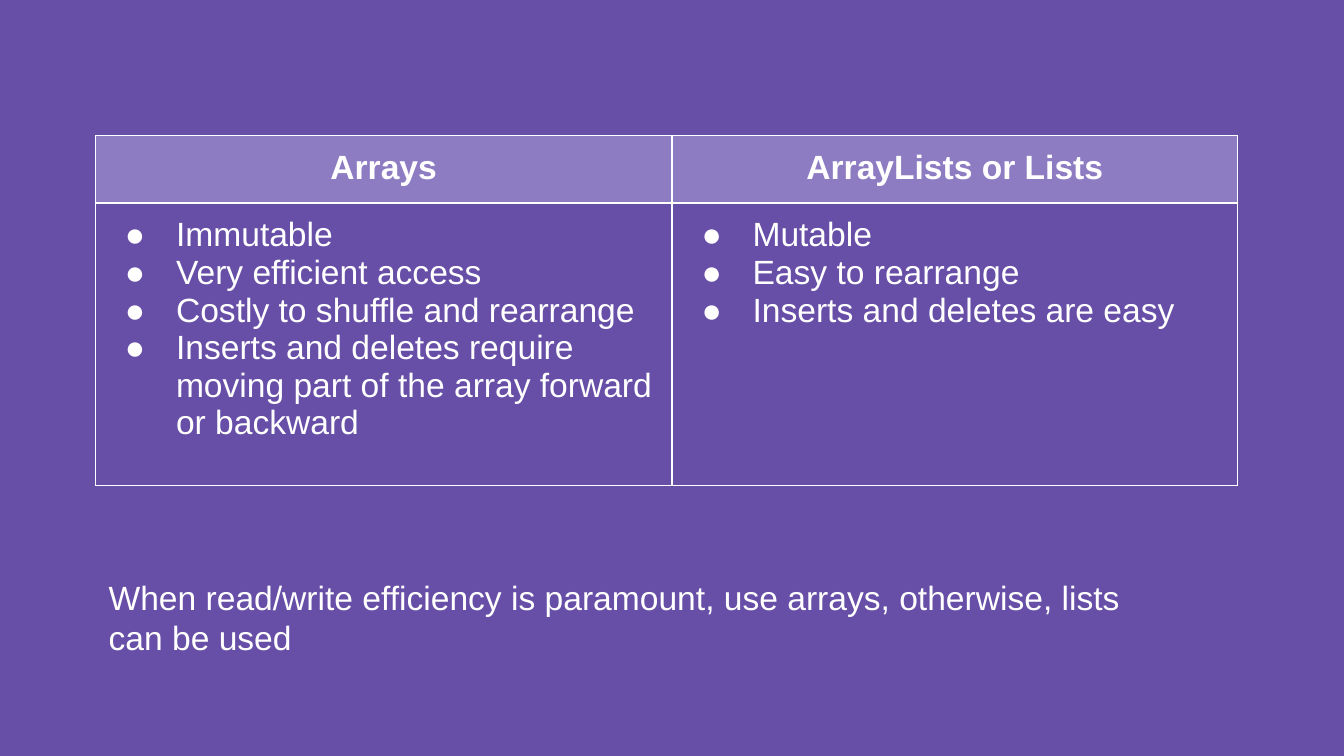
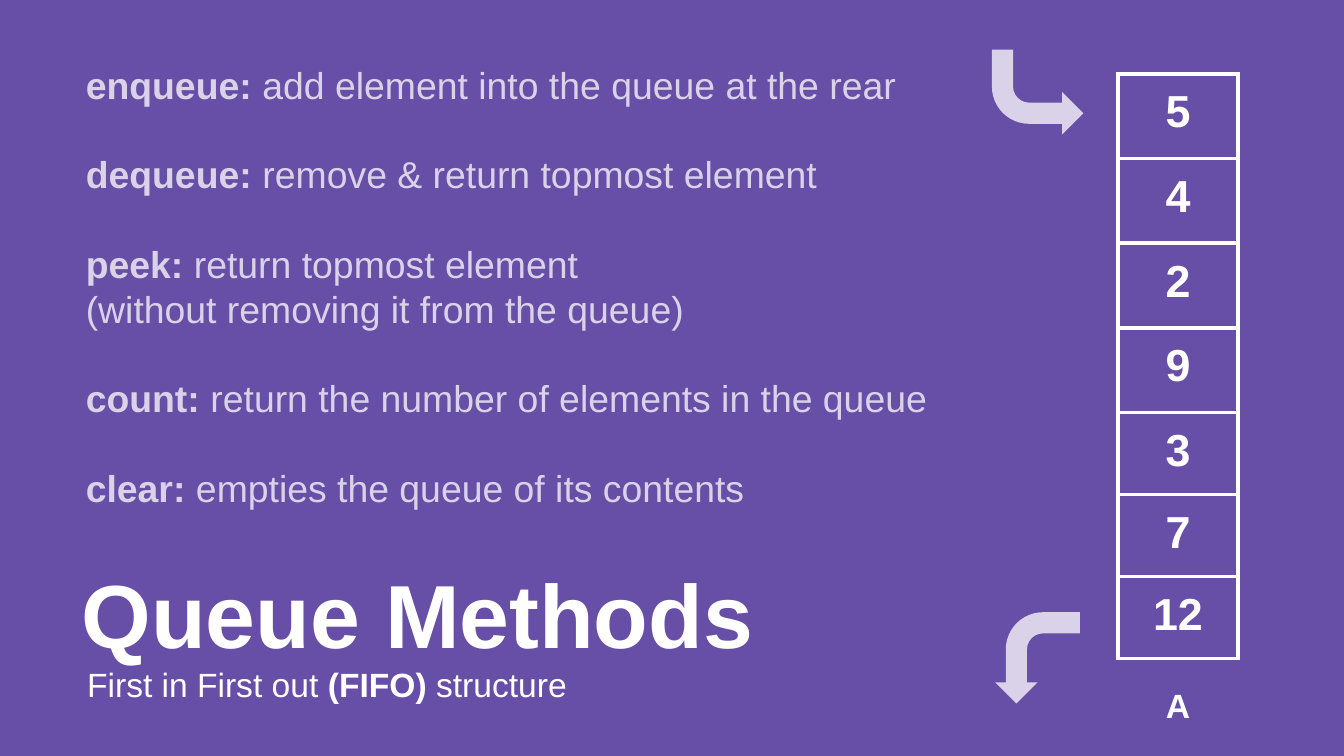
from dataclasses import dataclass

from lxml import etree
from pptx import Presentation
from pptx import util as u
from pptx.dml.color import RGBColor
from pptx.enum import shapes, text
from pptx.oxml import ns


@dataclass(frozen=True)
class Theme:
    font: str = "Arial"
    back: str = "674EA7"
    head: str = "8E7CC3"
    pale: str = "D9D2E9"
    white: str = "FFFFFF"
    small: int = 18
    body: int = 20
    cell: int = 24
    title: int = 48
    pad: float = 0.1


THEME = Theme()


@dataclass(frozen=True)
class Run:
    words: str
    bold: bool = False


Para = list[Run]


@dataclass(frozen=True)
class Style:
    size: int
    color: str = THEME.white
    center: bool = False
    bullet: str = ""
    gap: int = 0


@dataclass(frozen=True)
class Box:
    at: tuple[float, float, float, float]
    paras: list[Para]
    style: Style


@dataclass(frozen=True)
class Cell:
    paras: list[Para]
    style: Style
    fill: str = ""


@dataclass(frozen=True)
class Grid:
    left: float
    top: float
    cols: list[float]
    rows: list[float]
    line: float
    cells: list[list[Cell]]


@dataclass(frozen=True)
class Arrow:
    top: float
    turn: int


NOTE = Style(THEME.small)
LABEL = Style(THEME.small, center=True)
LIST = Style(THEME.small, bullet="●")
ITEM = Style(THEME.cell, center=True)
TITLE = Style(THEME.title)
TERMS = Style(THEME.body, THEME.pale, gap=24)

TRAITS = {
    "Arrays": [
        "Immutable",
        "Very efficient access",
        "Costly to shuffle and rearrange",
        "Inserts and deletes require moving part of the array forward or backward",
    ],
    "ArrayLists or Lists": [
        "Mutable",
        "Easy to rearrange",
        "Inserts and deletes are easy",
    ],
}
ADVICE = ("When read/write efficiency is paramount, use arrays, "
          "otherwise, lists can be used")
METHODS = {
    "enqueue: ": "add element into the queue at the rear",
    "dequeue: ": "remove & return topmost element",
    "peek: ": "return topmost element\n(without removing it from the queue)",
    "count: ": "return the number of elements in the queue",
    "clear: ": "empties the queue of its contents",
}
QUEUE = [5, 4, 2, 9, 3, 7, 12]


def rgb(code: str) -> RGBColor:
    return RGBColor.from_string(code)


def assign(obj, values: dict) -> None:
    for name, value in values.items():
        setattr(obj, name, value)


def add_bullet(para, style: Style) -> None:
    """Give the paragraph a hanging indent and a coloured bullet."""
    props = para._p.get_or_add_pPr()
    props.set("marL", str(u.Inches(0.5)))
    props.set("indent", str(u.Inches(-0.38)))
    color = etree.SubElement(props, ns.qn("a:buClr"))
    etree.SubElement(color, ns.qn("a:srgbClr"), val=style.color)
    etree.SubElement(props, ns.qn("a:buFont"), typeface=THEME.font)
    etree.SubElement(props, ns.qn("a:buChar"), char=style.bullet)


def end_para(para, style: Style) -> None:
    """Keep the paragraph mark in the text font, so that rows fit the text."""
    mark = etree.SubElement(para._p, ns.qn("a:endParaRPr"),
                            sz=str(style.size * 100))
    etree.SubElement(mark, ns.qn("a:latin"), typeface=THEME.font)


def write(frame, paras: list[Para], style: Style) -> None:
    side = text.PP_ALIGN.CENTER if style.center else text.PP_ALIGN.LEFT
    for row, runs in enumerate(paras):
        para = frame.add_paragraph() if row else frame.paragraphs[0]
        assign(para, {"alignment": side,
                      "space_before": u.Pt(style.gap if row else 0)})
        if style.bullet:
            add_bullet(para, style)
        for run in runs:
            for part, words in enumerate(run.words.split("\n")):
                if part:
                    para.add_line_break()
                piece = para.add_run()
                piece.text = words
                assign(piece.font, {"name": THEME.font, "bold": run.bold,
                                    "size": u.Pt(style.size)})
                piece.font.color.rgb = rgb(style.color)
        end_para(para, style)


def pad(obj) -> None:
    sides = ("left", "top", "right", "bottom")
    assign(obj, {f"margin_{side}": u.Inches(THEME.pad) for side in sides})


def draw_box(slide, box: Box) -> None:
    frame = slide.shapes.add_textbox(*map(u.Inches, box.at)).text_frame
    frame.word_wrap = True
    pad(frame)
    write(frame, box.paras, box.style)


def add_edges(cell, width: float) -> None:
    props = cell._tc.get_or_add_tcPr()
    for side in "LRTB":
        line = etree.SubElement(props, ns.qn(f"a:ln{side}"), w=str(u.Pt(width)))
        fill = etree.SubElement(line, ns.qn("a:solidFill"))
        etree.SubElement(fill, ns.qn("a:srgbClr"), val=THEME.white)


def draw_grid(slide, grid: Grid) -> None:
    area = (grid.left, grid.top, sum(grid.cols), sum(grid.rows))
    table = slide.shapes.add_table(
        len(grid.rows), len(grid.cols), *map(u.Inches, area)).table
    assign(table, {"first_row": False, "horz_banding": False})
    for col, width in zip(table.columns, grid.cols):
        col.width = u.Inches(width)
    for row, height, items in zip(table.rows, grid.rows, grid.cells):
        row.height = u.Inches(height)
        for cell, item in zip(row.cells, items):
            pad(cell)
            add_edges(cell, grid.line)
            if item.fill:
                cell.fill.solid()
                cell.fill.fore_color.rgb = rgb(item.fill)
            else:
                cell.fill.background()
            write(cell.text_frame, item.paras, item.style)


def draw_arrow(slide, arrow: Arrow) -> None:
    area = (7.38, arrow.top, 0.68, 0.63)
    shape = slide.shapes.add_shape(
        shapes.MSO_SHAPE.BENT_ARROW, *map(u.Inches, area))
    for spot, value in enumerate((0.25, 0.25, 0.25, 0.44)):
        shape.adjustments[spot] = value
    shape.rotation = arrow.turn
    shape._element.spPr.xfrm.set("flipH", "1")
    shape.shadow.inherit = False
    shape.fill.solid()
    shape.fill.fore_color.rgb = rgb(THEME.pale)
    shape.line.fill.background()


def add_slide(deck):
    slide = deck.slides.add_slide(deck.slide_layouts[6])
    fill = slide.background.fill
    fill.solid()
    fill.fore_color.rgb = rgb(THEME.back)
    return slide


def compare(deck) -> None:
    slide = add_slide(deck)
    draw_box(slide, Box((0.71, 4.19, 8.11, 0.93), [[Run(ADVICE)]], NOTE))
    heads = [Cell([[Run(name, True)]], LABEL, THEME.head) for name in TRAITS]
    lists = [Cell([[Run(trait)] for trait in traits], LIST)
             for traits in TRAITS.values()]
    draw_grid(slide, Grid(0.71, 1.01, [4.29, 4.21], [0.42, 2.1], 0.75,
                          [heads, lists]))


def queue(deck) -> None:
    slide = add_slide(deck)
    cells = [[Cell([[Run(str(num), True)]], ITEM)] for num in QUEUE]
    draw_arrow(slide, Arrow(0.37, 180))
    draw_grid(slide, Grid(8.32, 0.55, [0.89], [0.63] * 4 + [0.61] * 3, 2.25,
                          cells))
    draw_box(slide, Box((8.08, 5, 1.37, 0.47), [[Run("A", True)]], LABEL))
    draw_arrow(slide, Arrow(4.58, 270))
    terms = [[Run(name, True), Run(use)] for name, use in METHODS.items()]
    motto = [Run("First in First out "), Run("(FIFO) ", True), Run("structure")]
    for box in (
        Box((0.54, 0.36, 7.9, 4.41), terms, TERMS),
        Box((0.51, 4.06, 7.4, 0.81), [[Run("Queue Methods", True)]], TITLE),
        Box((0.55, 4.84, 6.35, 0.71), [motto], NOTE),
    ):
        draw_box(slide, box)


def main() -> None:
    deck = Presentation()
    wide = u.Inches(10)
    assign(deck, {"slide_width": wide, "slide_height": wide * 9 // 16})
    compare(deck)
    queue(deck)
    deck.save("out.pptx")


if __name__ == "__main__":
    main()
